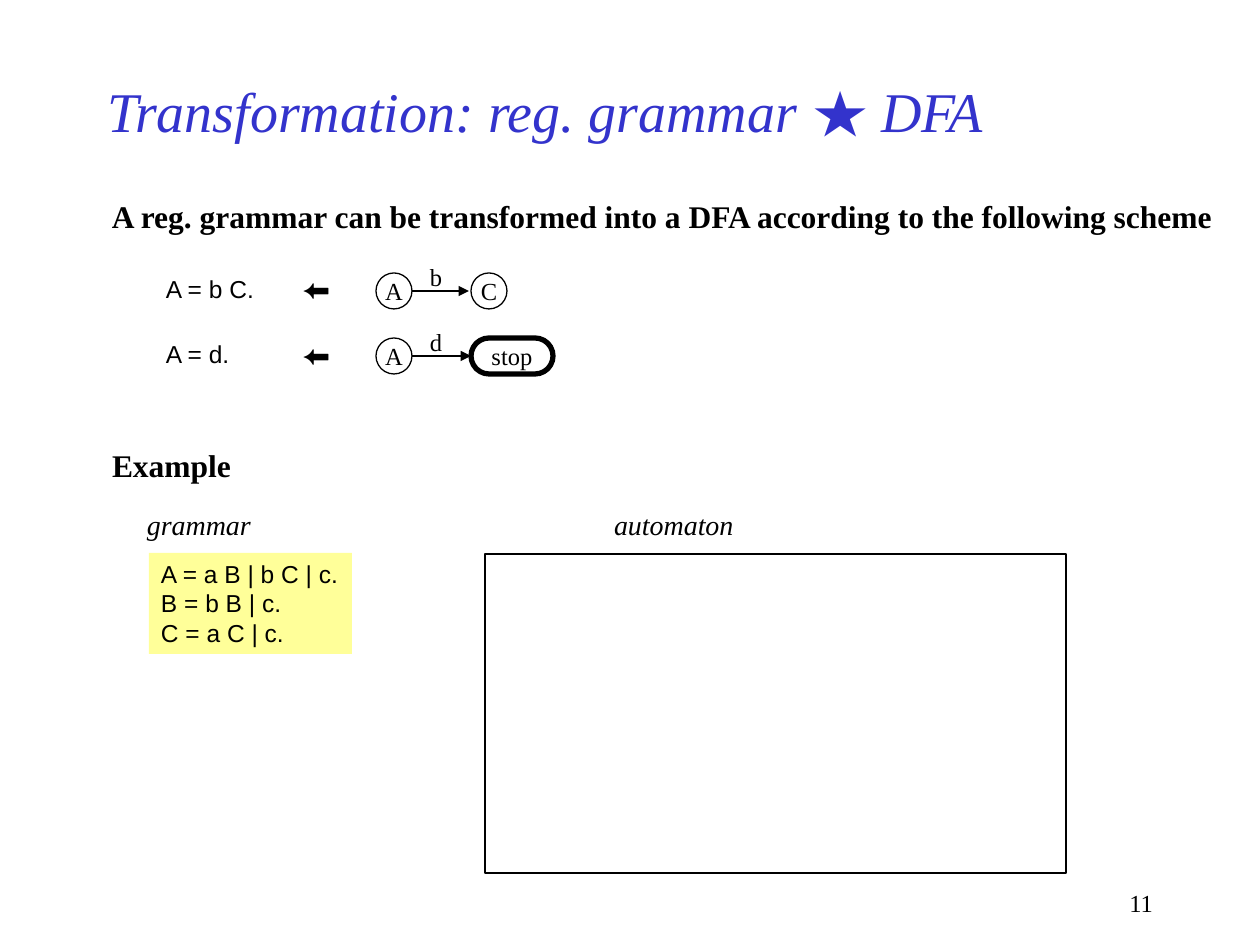
from dataclasses import dataclass

from pptx import Presentation
from pptx.dml.color import RGBColor
from pptx.enum.shapes import MSO_CONNECTOR, MSO_SHAPE
from pptx.enum.text import MSO_ANCHOR, MSO_AUTO_SIZE, PP_ALIGN
from pptx.oxml.ns import qn
from pptx.util import Pt
from lxml import etree

ELLIPSE, ROUND, RECT = MSO_SHAPE.OVAL, MSO_SHAPE.ROUNDED_RECTANGLE, MSO_SHAPE.RECTANGLE
STRAIGHT = MSO_CONNECTOR.STRAIGHT
LEFT, CENTER, RIGHT = PP_ALIGN.LEFT, PP_ALIGN.CENTER, PP_ALIGN.RIGHT
TOP, MIDDLE = MSO_ANCHOR.TOP, MSO_ANCHOR.MIDDLE
FIXED, GROW = MSO_AUTO_SIZE.NONE, MSO_AUTO_SIZE.SHAPE_TO_FIT_TEXT

EMU_PER_PX = 914400 / 126
COLORS = {"ink": "000000", "title": "3333CC", "paper": "FFFFFF", "code": "FFFF99"}
SERIF, SANS = "Times New Roman", "Arial"
INSET_X, INSET_Y = 12, 6
STATE_SIZE = 36


@dataclass
class Box:
    left: int
    top: int
    width: int
    height: int


@dataclass
class Style:
    size: int = 14
    font: str = SERIF
    color: str = "ink"
    bold: bool = False
    italic: bool = False


@dataclass
class Rule:
    center_y: int
    text: str
    width: int
    symbol: str
    target: str
    final: bool


def px(length: int) -> int:
    return round(length * EMU_PER_PX)


def emu(box: Box) -> tuple:
    return px(box.left), px(box.top), px(box.width), px(box.height)


def rgb(name: str) -> RGBColor:
    return RGBColor.from_string(COLORS[name])


def write(shape, text: str, style: Style, align=LEFT, anchor=TOP,
          inset: tuple = (INSET_X, INSET_Y), wrap: bool = True, fit=FIXED) -> None:
    frame = shape.text_frame
    frame.text = text
    x, y = map(px, inset)
    frame_format = {"margin_left": x, "margin_right": x, "margin_top": y,
                    "margin_bottom": y, "word_wrap": wrap, "auto_size": fit,
                    "vertical_anchor": anchor}
    for name, value in frame_format.items():
        setattr(frame, name, value)
    font_format = {"size": Pt(style.size), "name": style.font,
                   "bold": style.bold, "italic": style.italic}
    for paragraph in frame.paragraphs:
        paragraph.alignment = align
        for run in paragraph.runs:
            for name, value in font_format.items():
                setattr(run.font, name, value)
            run.font.color.rgb = rgb(style.color)


def add_label(slide, box: Box, text: str, style: Style, **layout) -> None:
    """Add a one-line label whose box grows with its text."""
    label = slide.shapes.add_textbox(*emu(box))
    write(label, text, style, wrap=False, fit=GROW, **layout)


def add_outline(slide, kind, box: Box, fill: str = "", line_width: float = 0):
    shape = slide.shapes.add_shape(kind, *emu(box))
    shape.shadow.inherit = False
    if fill:
        shape.fill.solid()
        shape.fill.fore_color.rgb = rgb(fill)
    else:
        shape.fill.background()
    if line_width:
        shape.line.color.rgb = rgb("ink")
        shape.line.width = Pt(line_width)
    else:
        shape.line.fill.background()
    return shape


def add_state(slide, left: int, center_y: int, name: str, final: bool = False):
    width = 82 if final else STATE_SIZE
    box = Box(left, center_y - STATE_SIZE // 2, width, STATE_SIZE)
    state = add_outline(slide, ROUND if final else ELLIPSE, box, line_width=3 if final else 0.75)
    if final:
        state.adjustments[0] = 0.5
    write(state, name, Style(), align=CENTER, anchor=MIDDLE, inset=(0, 0), wrap=False)
    return state


def add_transition(slide, start: int, end: int, y: int):
    arrow = slide.shapes.add_connector(STRAIGHT, px(start), px(y), px(end), px(y))
    arrow.line.color.rgb = rgb("ink")
    arrow.line.width = Pt(0.75)
    properties = arrow._element.spPr
    etree.SubElement(properties.find(qn("a:ln")), qn("a:tailEnd"), type="triangle")
    etree.SubElement(properties, qn("a:effectLst"))
    return arrow


def add_rule(slide, rule: Rule) -> None:
    y = rule.center_y
    add_label(slide, Box(154, y - 23, rule.width, 42), rule.text, Style(font=SANS))
    add_label(slide, Box(290, y - 25, 54, 47), "⬅", Style(size=16, font=SANS))
    add_state(slide, 376, y, "A")
    target = add_state(slide, 471, y, rule.target, rule.final)
    arrow = add_transition(slide, 376 + STATE_SIZE, 469, y)
    if rule.final:
        arrow.end_connect(target, 1)
    add_label(slide, Box(430, y - 29, 13, 29), rule.symbol, Style(), inset=(0, 0))


def main() -> None:
    deck = Presentation()
    deck.slide_width, deck.slide_height = px(1260), px(945)
    slide = deck.slides.add_slide(deck.slide_layouts[5])

    # Title and page number
    title = slide.shapes.title
    title.left, title.top, title.width, title.height = emu(Box(95, 63, 945, 95))
    write(title, "Transformation: reg. grammar ★ DFA",
          Style(32, color="title", italic=True), anchor=MIDDLE)
    page_number = slide.shapes.add_textbox(*emu(Box(903, 882, 262, 42)))
    write(page_number, "11", Style(), align=RIGHT)

    # Transformation scheme
    heading, caption = Style(18, bold=True), Style(16, italic=True)
    add_label(slide, Box(100, 191, 1133, 50),
              "A reg. grammar can be transformed into a DFA according to the following scheme",
              heading)
    for rule in (Rule(291, "A = b C.", 113, "b", "C", False),
                 Rule(356, "A = d.", 89, "d", "stop", True)):
        add_rule(slide, rule)

    # Example: grammar beside an empty frame for its automaton
    add_label(slide, Box(100, 440, 144, 50), "Example", heading)
    add_label(slide, Box(135, 502, 129, 47), "grammar", caption)
    add_label(slide, Box(602, 502, 145, 47), "automaton", caption)
    grammar = add_outline(slide, RECT, Box(149, 553, 203, 101), fill="code")
    write(grammar, "A = a B | b C | c.\nB = b B | c.\nC = a C | c.", Style(font=SANS),
          wrap=False)
    add_outline(slide, RECT, Box(485, 554, 581, 319), fill="paper", line_width=0.75)

    deck.save("out.pptx")


if __name__ == "__main__":
    main()
